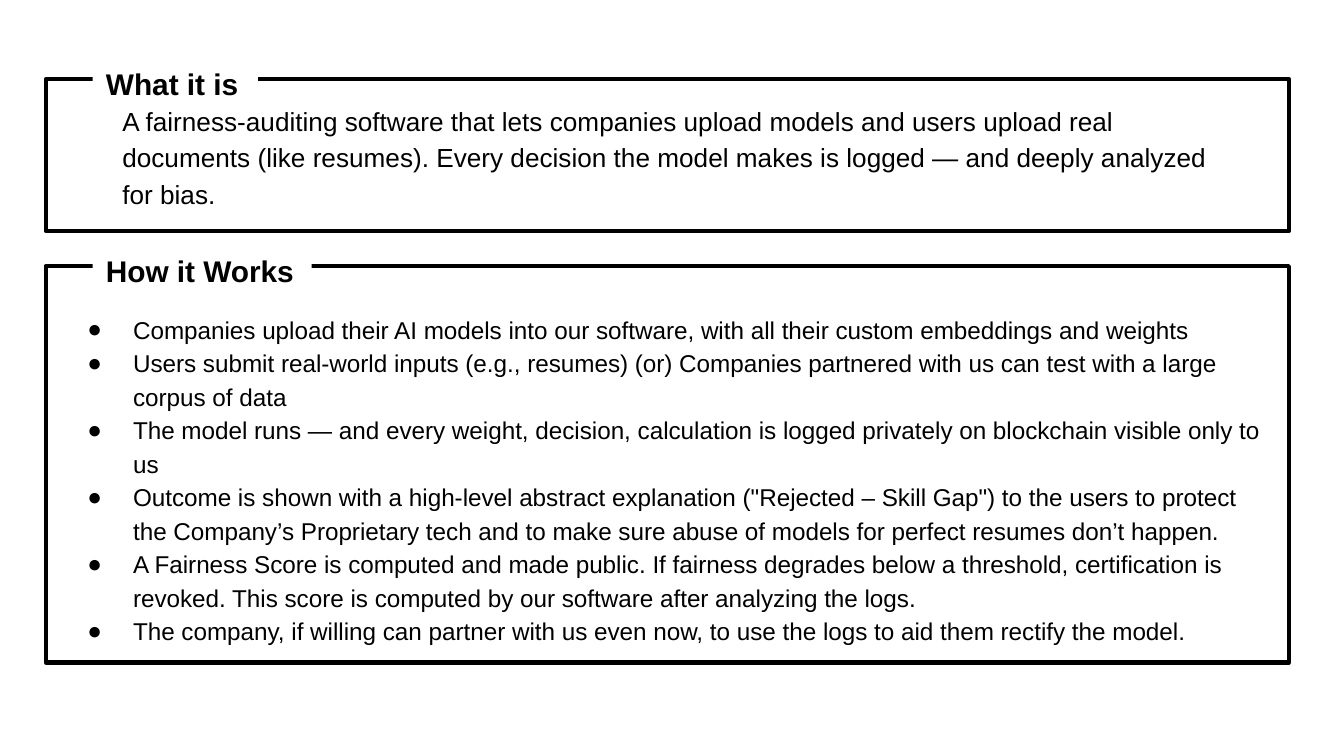
from lxml import etree
from pptx import Presentation
from pptx.dml.color import RGBColor
from pptx.enum.shapes import MSO_SHAPE
from pptx.enum.text import MSO_ANCHOR, PP_ALIGN
from pptx.oxml.ns import qn
from pptx.util import Inches, Pt

RECTANGLE = MSO_SHAPE.RECTANGLE
TOP, MIDDLE = MSO_ANCHOR.TOP, MSO_ANCHOR.MIDDLE
LEFT = PP_ALIGN.LEFT

FONT, BLACK, WHITE = "Arial", "000000", "FFFFFF"
FRAME_LEFT, FRAME_WIDTH = 0.34, 9.25
HEADING_LEFT, HEADING_HEIGHT, HEADING_RISE = 0.69, 0.47, 0.24

PANELS = [
    {
        "heading": "What it is", "heading_width": 1.23,
        "top": 0.59, "height": 1.13, "size": 14,
        "anchor": MIDDLE, "insets": (0.15, 0.05, 0.4, 0.05),
        "indent": 0.42, "hanging": 0,
        "body": [
            "A fairness-auditing software that lets companies upload models and users upload real documents (like resumes). Every decision the model makes is logged — and deeply analyzed for bias.",
        ],
    },
    {
        "heading": "How it Works", "heading_width": 1.63,
        "top": 1.98, "height": 2.95, "size": 13,
        "anchor": TOP, "insets": (0.15, 0.33, 0.1, 0.05),
        "indent": 0.5, "hanging": 0.34,
        "body": [
            "Companies upload their AI models into our software, with all their custom embeddings and weights",
            "Users submit real-world inputs (e.g., resumes) (or) Companies partnered with us can test with a large corpus of data",
            "The model runs — and every weight, decision, calculation is logged privately on blockchain visible only to us",
            "Outcome is shown with a high-level abstract explanation (\"Rejected – Skill Gap\") to the users to protect the Company’s Proprietary tech and to make sure abuse of models for perfect resumes don’t happen.",
            "A Fairness Score is computed and made public. If fairness degrades below a threshold, certification is revoked. This score is computed by our software after analyzing the logs.",
            "The company, if willing can partner with us even now, to use the logs to aid them rectify the model.",
        ],
    },
]


def color(value):
    return RGBColor.from_string(value)


def add_box(page, left, top, width, height, anchor, insets):
    """Add a plain rectangle; insets are left, top, right, bottom."""
    box = page.shapes.add_shape(
        RECTANGLE, Inches(left), Inches(top), Inches(width), Inches(height))
    box.shadow.inherit = False
    frame = box.text_frame
    frame.word_wrap = True
    frame.vertical_anchor = anchor
    (frame.margin_left, frame.margin_top,
     frame.margin_right, frame.margin_bottom) = map(Inches, insets)
    return box


def write(box, lines, size, bold=False):
    frame = box.text_frame
    for number, line in enumerate(lines):
        para = frame.add_paragraph() if number else frame.paragraphs[0]
        para.text = line
        para.alignment = LEFT
        para.line_spacing = 1.15
        para.font.name = FONT
        para.font.size = Pt(size)
        para.font.bold = bold
        para.font.color.rgb = color(BLACK)


def indent(para, left, hanging):
    """Indent a paragraph, with a bullet where it has a hanging indent."""
    properties = para._p.get_or_add_pPr()
    properties.set("marL", str(Inches(left)))
    properties.set("indent", str(-Inches(hanging)))
    if hanging:
        bullet_color = etree.Element(qn("a:buClr"))
        etree.SubElement(bullet_color, qn("a:srgbClr"), val=BLACK)
        bullet_font = etree.Element(qn("a:buFont"), typeface=FONT)
        bullet = etree.Element(qn("a:buChar"), char="●")
        for element in (bullet_color, bullet_font, bullet):
            properties.insert_element_before(element, "a:tabLst", "a:defRPr", "a:extLst")


def add_panel(page, panel):
    box = add_box(page, FRAME_LEFT, panel["top"], FRAME_WIDTH, panel["height"],
                  panel["anchor"], panel["insets"])
    box.fill.background()
    box.line.color.rgb = color(BLACK)
    box.line.width = Pt(2.25)
    write(box, panel["body"], panel["size"])
    for para in box.text_frame.paragraphs:
        indent(para, panel["indent"], panel["hanging"])

    heading = add_box(page, HEADING_LEFT, panel["top"] - HEADING_RISE,
                      panel["heading_width"], HEADING_HEIGHT, TOP, (0.1,) * 4)
    heading.fill.solid()
    heading.fill.fore_color.rgb = color(WHITE)
    heading.line.fill.background()
    write(heading, [panel["heading"]], 16, bold=True)


def main():
    deck = Presentation()
    deck.slide_width = Inches(10)
    deck.slide_height = deck.slide_width * 9 // 16
    page = deck.slides.add_slide(deck.slide_layouts.get_by_name("Blank"))
    for panel in PANELS:
        add_panel(page, panel)
    deck.save("out.pptx")


if __name__ == "__main__":
    main()
